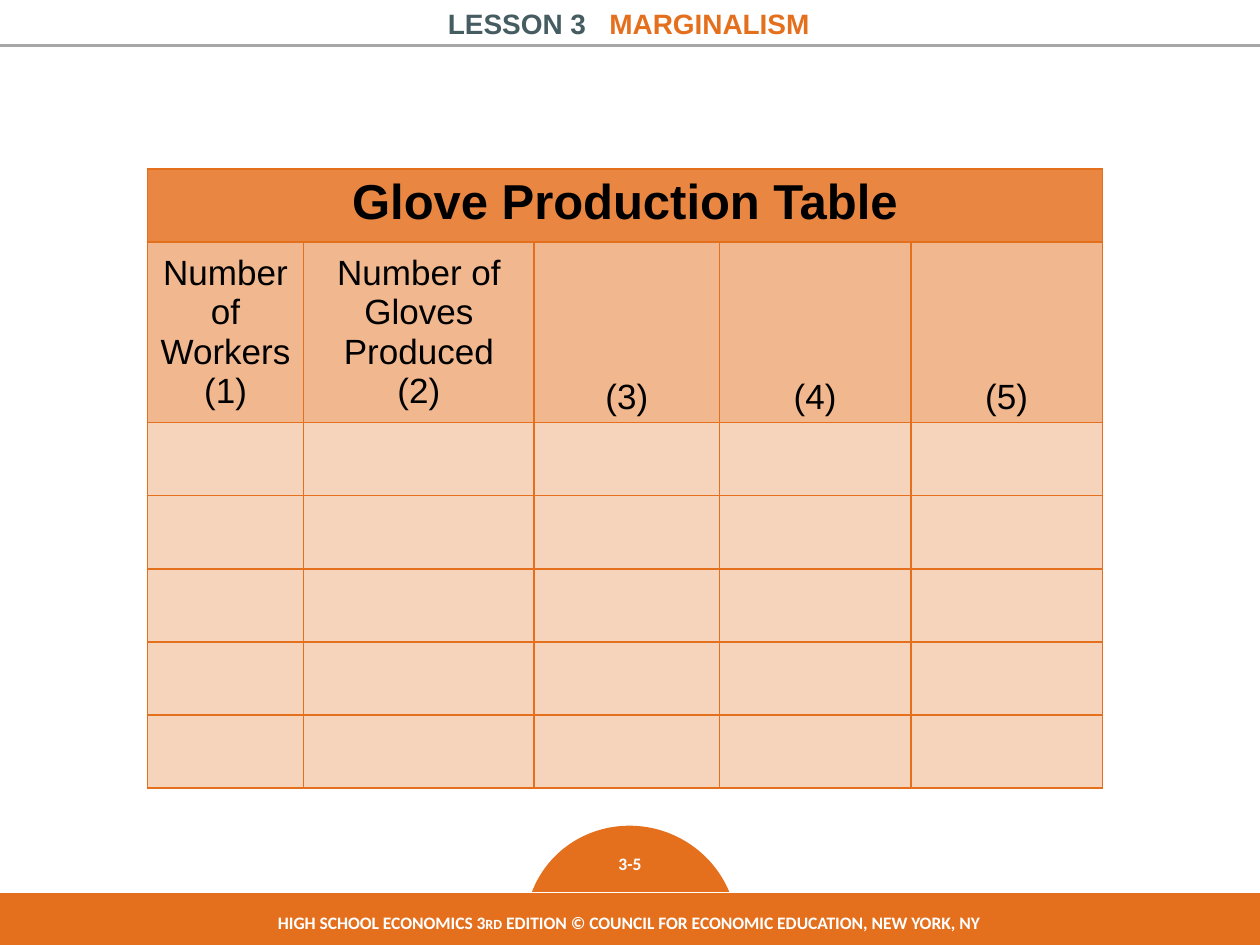
from typing import NamedTuple

import pptx
import pptx.dml.color
import pptx.enum.shapes
import pptx.enum.text
import pptx.oxml
import pptx.oxml.ns
import pptx.util
from pptx.dml.color import RGBColor
from pptx.enum.shapes import MSO_SHAPE
from pptx.util import Inches

ORANGE = RGBColor(0xE4, 0x70, 0x1E)
SLATE = RGBColor(0x45, 0x5C, 0x61)
GRAY = RGBColor(0xA6, 0xA6, 0xA6)
WHITE = RGBColor(0xFF, 0xFF, 0xFF)
BLACK = RGBColor(0, 0, 0)
MIDDLE = pptx.enum.text.MSO_ANCHOR.MIDDLE
BOTTOM = pptx.enum.text.MSO_ANCHOR.BOTTOM
qn = pptx.oxml.ns.qn


class Box(NamedTuple):
    left: float
    top: float
    width: float
    height: float


class Run(NamedTuple):
    text: str
    size: float
    color: RGBColor
    font: str = "Calibri"
    bold: bool = True
    spacing: int = 0  # hundredths of a point


class Heading(NamedTuple):
    lines: list[str]
    anchor: pptx.enum.text.MSO_ANCHOR


HEADINGS = [
    Heading(["Number of Workers", "(1)"], MIDDLE),
    Heading(["Number of Gloves Produced", "(2)"], MIDDLE),
    Heading(["(3)"], BOTTOM),
    Heading(["(4)"], BOTTOM),
    Heading(["(5)"], BOTTOM),
]
COL_WIDTHS = [1.24, 1.83, 1.47, 1.52, 1.52]
ROW_HEIGHTS = [0.58, 1.43] + [0.58] * 5


def write_paragraph(p, runs: list[Run]) -> None:
    p.alignment = pptx.enum.text.PP_ALIGN.CENTER
    for run in runs:
        r = p.add_run()
        r.text = run.text
        r.font.name = run.font
        r.font.size = pptx.util.Pt(run.size)
        r.font.bold = run.bold
        r.font.color.rgb = run.color
        if run.spacing:
            r.font._element.set("spc", str(run.spacing))


def add_label(s, box: Box, runs: list[Run]) -> None:
    sp = s.shapes.add_textbox(*map(Inches, box))
    tf = sp.text_frame
    tf.word_wrap = True
    write_paragraph(tf.paragraphs[0], runs)


def add_block(s, kind: MSO_SHAPE, box: Box, line: RGBColor, width: float):
    sp = s.shapes.add_shape(kind, *map(Inches, box))
    sp.shadow.inherit = False
    sp.fill.solid()
    sp.fill.fore_color.rgb = ORANGE
    sp.line.color.rgb = line
    sp.line.width = pptx.util.Pt(width)
    return sp


def style_cell(cell, opacity: int) -> None:
    """Tint the cell and give it a thin orange border."""
    cell.fill.solid()
    cell.fill.fore_color.rgb = ORANGE
    tcPr = cell._tc.get_or_add_tcPr()
    color = tcPr.find(qn("a:solidFill")).find(qn("a:srgbClr"))
    color.append(pptx.oxml.parse_xml(
        f'<a:alpha {pptx.oxml.ns.nsdecls("a")} val="{opacity * 1000}"/>'))
    for i, side in enumerate(("lnL", "lnR", "lnT", "lnB")):
        tcPr.insert(i, pptx.oxml.parse_xml(
            f'<a:{side} {pptx.oxml.ns.nsdecls("a")} w="12700"><a:solidFill>'
            f'<a:srgbClr val="{ORANGE}"/></a:solidFill></a:{side}>'))


def add_production_table(s) -> None:
    box = Box(1.17, 1.34, sum(COL_WIDTHS), sum(ROW_HEIGHTS))
    table = s.shapes.add_table(
        len(ROW_HEIGHTS), len(COL_WIDTHS), *map(Inches, box)).table
    table.first_row = False
    table.horz_banding = False
    for column, width in zip(table.columns, COL_WIDTHS):
        column.width = Inches(width)
    for i, height in enumerate(ROW_HEIGHTS):
        table.rows[i].height = Inches(height)
        opacity = {0: 84, 1: 50}.get(i, 30)
        for cell in table.rows[i].cells:
            style_cell(cell, opacity)

    # Title row
    title = table.cell(0, 0)
    title.merge(table.cell(0, len(COL_WIDTHS) - 1))
    write_paragraph(title.text_frame.paragraphs[0],
                    [Run("Glove Production Table", 28, BLACK, "Arial")])

    # Column headings
    for col, heading in enumerate(HEADINGS):
        cell = table.cell(1, col)
        cell.vertical_anchor = heading.anchor
        tf = cell.text_frame
        for i, line in enumerate(heading.lines):
            p = tf.add_paragraph() if i else tf.paragraphs[0]
            write_paragraph(p, [Run(line, 20, BLACK, "Arial", False)])


def main() -> None:
    prs = pptx.Presentation()
    prs.slide_width, prs.slide_height = Inches(10), Inches(7.5)
    s = prs.slides.add_slide(prs.slide_layouts[6])

    # Header rule and lesson title
    rule = s.shapes.add_connector(
        pptx.enum.shapes.MSO_CONNECTOR.STRAIGHT,
        Inches(0), Inches(0.36), Inches(10), Inches(0.36))
    rule.line.color.rgb = GRAY
    rule.line.width = pptx.util.Pt(2)
    rule._element.spPr.append(pptx.oxml.parse_xml(
        f'<a:effectLst {pptx.oxml.ns.nsdecls("a")}/>'))
    add_label(s, Box(0.95, 0, 8.08, 0.37), [
        Run("LESSON 3", 16, SLATE, "Arial"),
        Run(" ", 16, SLATE, "Arial", spacing=890),
        Run("MARGINALISM", 16, ORANGE, "Arial"),
    ])

    # Page number on its dome: a half disc, turned flat side down
    dome = add_block(s, MSO_SHAPE.CHORD, Box(4.2, 6.55, 1.62, 1.66), ORANGE, 2)
    dome.rotation = 112.5
    for i, angle in enumerate((39.96, 148.42)):
        dome.adjustments[i] = angle
    add_label(s, Box(4.5, 6.72, 1, 0.27), [Run("3-5", 10, WHITE)])

    # Footer band
    add_block(s, MSO_SHAPE.RECTANGLE, Box(-0.04, 7.08, 10.06, 0.42), WHITE, 0.25)
    add_label(s, Box(1.28, 7.19, 7.42, 0.27), [
        Run("HIGH SCHOOL ECONOMICS 3", 10, WHITE),
        Run("RD", 8, WHITE),
        Run(" EDITION © COUNCIL FOR ECONOMIC EDUCATION, NEW YORK, NY", 10, WHITE),
    ])

    add_production_table(s)
    prs.save("out.pptx")


if __name__ == "__main__":
    main()
